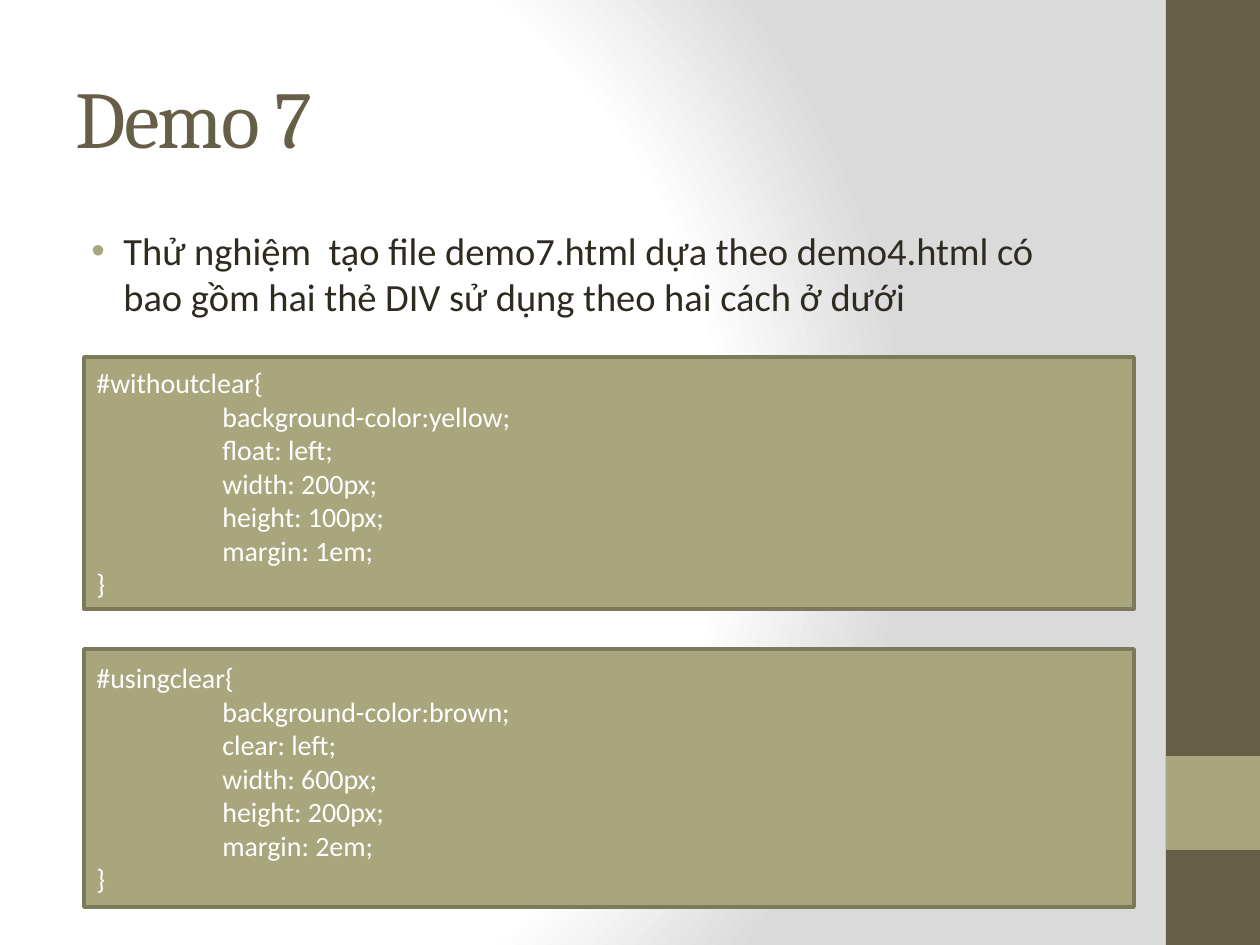
from lxml.etree import SubElement
from pptx import Presentation
from pptx.dml.color import RGBColor
from pptx.enum.shapes import MSO_SHAPE as Shape
from pptx.enum.text import MSO_ANCHOR as Anchor, MSO_AUTO_SIZE as AutoSize, PP_ALIGN as Align
from pptx.oxml import parse_xml
from pptx.oxml.ns import nsdecls, qn
from pptx.util import Pt

PX = 914400 / 126
BROWN, OLIVE, EDGE, INK, WHITE = "675E47", "A9A57C", "7D7A5C", "2F2B20", "FFFFFF"


def emu(*lengths):
    return [round(length * PX) for length in lengths]


def color(value):
    return RGBColor.from_string(value)


def place(shape, box):
    shape.left, shape.top, shape.width, shape.height = emu(*box)


def write(para, text, size, font, ink):
    para.alignment = Align.LEFT
    span = para.add_run()
    span.text = text
    span.font.size, span.font.name = Pt(size), font
    span.font.color.rgb = color(ink)
    return span


def add_panel(page, box, fill, edge=None):
    panel = page.shapes.add_shape(Shape.RECTANGLE, *emu(*box))
    panel.shadow.inherit = False
    panel.fill.solid()
    panel.fill.fore_color.rgb = color(fill)
    if edge:
        panel.line.color.rgb = color(edge)
        panel.line.width = Pt(2)
    else:
        panel.line.fill.background()
    return panel


def paint_background(page):
    # Radial gradient, white at the left and grey at the right
    page.background.fill.solid()
    solid = page.element.xpath(".//p:bgPr/a:solidFill")[0]
    stops = "".join(
        f'<a:gs pos="{percent * 1000}"><a:srgbClr val="{value}"/></a:gs>'
        for percent, value in ((0, WHITE), (75, WHITE), (100, "DADADA")))
    gradient = parse_xml(
        f'<a:gradFill {nsdecls("a")} rotWithShape="1"><a:gsLst>{stops}</a:gsLst>'
        '<a:path path="circle"><a:fillToRect l="20000" t="50000" r="100000" b="50000"/>'
        '</a:path></a:gradFill>')
    solid.getparent().replace(solid, gradient)


def add_sidebar(page, box):
    left, top, width, height = box
    add_panel(page, box, BROWN)
    add_panel(page, (left, top + height * 4 // 5, width, width), OLIVE)


def add_title(page, box, text):
    title = page.shapes.title
    place(title, box)
    frame = title.text_frame
    frame.auto_size = AutoSize.NONE
    frame.vertical_anchor = Anchor.MIDDLE
    span = write(frame.paragraphs[0], text, 46, "Cambria", BROWN)
    span.font._element.set("spc", "-100")


def add_bullet(page, box, text):
    frame = page.shapes.add_textbox(*emu(*box)).text_frame
    frame.word_wrap = True
    frame.margin_right, = emu(32)
    para = frame.paragraphs[0]
    props = para._p.get_or_add_pPr()
    indent, hang = emu(48, -32)
    props.set("marL", str(indent))
    props.set("indent", str(hang))
    SubElement(SubElement(props, qn("a:buClr")), qn("a:srgbClr")).set("val", OLIVE)
    SubElement(props, qn("a:buFont")).set("typeface", "Arial")
    SubElement(props, qn("a:buChar")).set("char", "•")
    write(para, text, 22, "Calibri", INK)


def add_tab_stop(para, position):
    tabs = SubElement(para._p.get_or_add_pPr(), qn("a:tabLst"))
    offset, = emu(position)
    SubElement(tabs, qn("a:tab"), pos=str(offset), algn="l")


def add_code(page, box, selector, rules):
    frame = add_panel(page, box, OLIVE, EDGE).text_frame
    frame.word_wrap = True
    frame.vertical_anchor = Anchor.MIDDLE
    lines = [selector + "{", *(f"\t{rule};" for rule in rules), "}"]
    for index, line in enumerate(lines):
        para = frame.add_paragraph() if index else frame.paragraphs[0]
        add_tab_stop(para, 126)
        write(para, line, 16, "Calibri", WHITE)


def main():
    deck = Presentation()
    deck.slide_width, deck.slide_height = emu(1260, 945)
    page = deck.slides.add_slide(deck.slide_layouts[5])
    paint_background(page)
    add_sidebar(page, (1166, 0, 94, 945))
    add_title(page, (63, 38, 1050, 157), "Demo 7")
    add_bullet(page, (63, 221, 1050, 120),
               "Thử nghiệm  tạo file demo7.html dựa theo demo4.html có "
               "bao gồm hai thẻ DIV sử dụng theo hai cách ở dưới")
    # CSS rules
    add_code(page, (84, 357, 1050, 252), "#withoutclear",
             ("background-color:yellow", "float: left", "width: 200px",
              "height: 100px", "margin: 1em"))
    add_code(page, (84, 649, 1050, 258), "#usingclear",
             ("background-color:brown", "clear: left", "width: 600px",
              "height: 200px", "margin: 2em"))
    deck.save("out.pptx")


if __name__ == "__main__":
    main()
